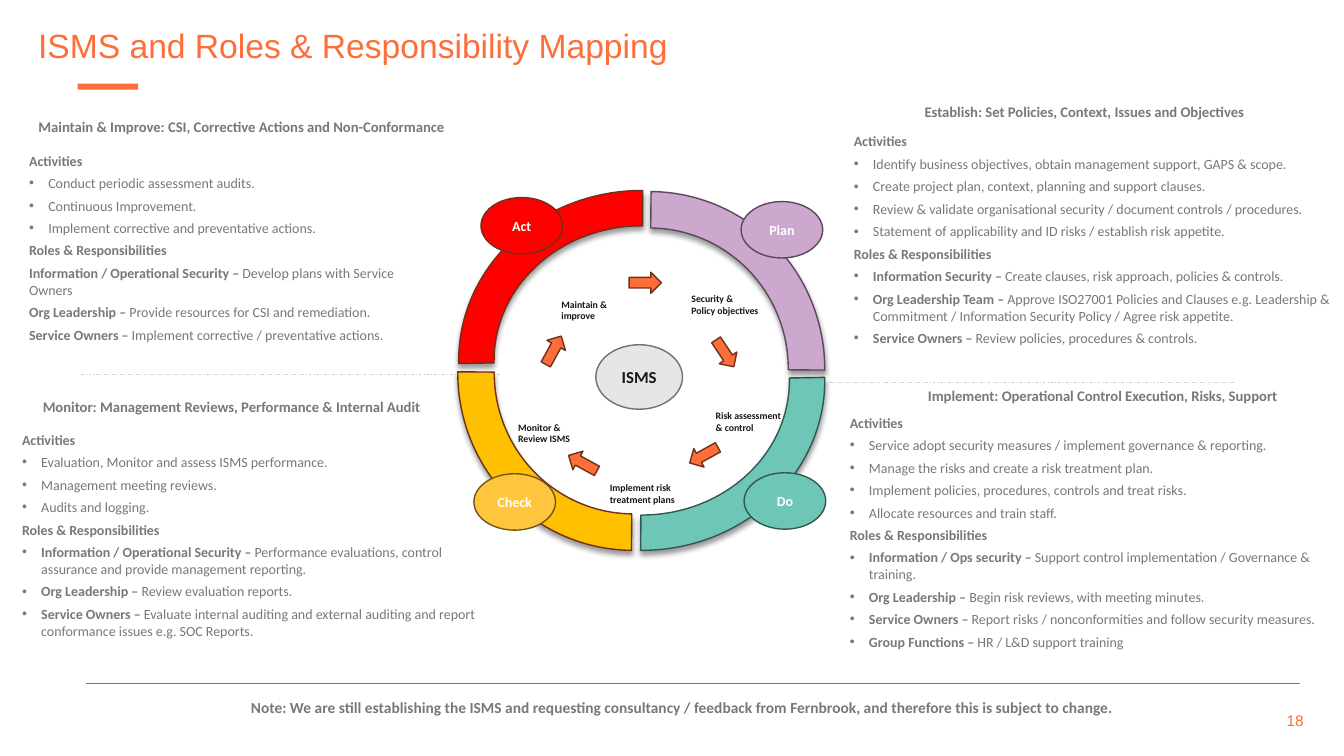
from lxml.etree import SubElement
from pptx import Presentation
from pptx.dml.color import RGBColor
from pptx.enum.dml import MSO_LINE
from pptx.enum.shapes import MSO_CONNECTOR, MSO_SHAPE
from pptx.enum.text import MSO_ANCHOR, PP_ALIGN
from pptx.oxml.ns import qn
from pptx.util import Inches, Pt

ORANGE, GREY, DARK, WHITE = "FD6E39", "787878", "181717", "FFFFFF"
BROWN, PLUM, PINE = "6F3019", "59495A", "305750"

HEAD = {"name": "Calibri", "size": Pt(10.5), "bold": True}
LEAD = {"name": "Calibri", "size": Pt(10), "bold": True}
BODY = {"name": "Calibri", "size": Pt(10), "bold": False}
LABEL = {"name": "Calibri", "size": Pt(7), "bold": True}
HUB = {"name": "Calibri", "size": Pt(12), "bold": True}
NOTE = {"name": "Calibri", "size": Pt(11), "bold": True}
TITLE = {"name": "Arial", "size": Pt(24)}
PAGE = {"name": "Arial", "size": Pt(11)}

PANELS = [
    ((0.19, 1.46, 4.15, 2.3), (4.51, 0.34), False,
     "Maintain & Improve: CSI, Corrective Actions and Non-Conformance",
     ["Conduct periodic assessment audits.",
      "Continuous Improvement.",
      "Implement corrective and preventative actions."],
     ["Information / Operational Security – Develop plans with Service Owners",
      "Org Leadership – Provide resources for CSI and remediation.",
      "Service Owners – Implement corrective / preventative actions."]),
    ((8.37, 1.27, 4.96, 2.5), (12.44, 0.3), True,
     "Establish: Set Policies, Context, Issues and Objectives",
     ["Identify business objectives, obtain management support, GAPS & scope.",
      "Create project plan, context, planning and support clauses.",
      "Review & validate organisational security / document controls / procedures.",
      "Statement of applicability and ID risks / establish risk appetite."],
     ["Information Security – Create clauses, risk approach, policies & controls.",
      "Org Leadership Team – Approve ISO27001 Policies and Clauses e.g. Leadership & "
      "Commitment / Information Security Policy / Agree risk appetite.",
      "Service Owners – Review policies, procedures & controls."]),
    ((0.12, 4.23, 4.72, 2.4), (4.27, 0.33), True,
     "Monitor: Management Reviews, Performance & Internal Audit",
     ["Evaluation, Monitor and assess ISMS performance.",
      "Management meeting reviews.",
      "Audits and logging."],
     ["Information / Operational Security – Performance evaluations, control "
      "assurance and provide management reporting.",
      "Org Leadership – Review evaluation reports.",
      "Service Owners – Evaluate internal auditing and external auditing and report "
      "conformance issues e.g. SOC Reports."]),
    ((8.33, 4.06, 4.88, 2.46), (12.77, 0.27), True,
     "Implement: Operational Control Execution, Risks, Support",
     ["Service adopt security measures / implement governance & reporting.",
      "Manage the risks and create a risk treatment plan.",
      "Implement policies, procedures, controls and treat risks.",
      "Allocate resources and train staff."],
     ["Information / Ops security – Support control implementation / Governance & training.",
      "Org Leadership – Begin risk reviews, with meeting minutes.",
      "Service Owners – Report risks / nonconformities and follow security measures.",
      "Group Functions – HR / L&D support training"]),
]

ARCS = [
    ((0.05, 0.29, 3.63, 3.37), 180, 107.41, "6EC7B6", PINE),
    ((0.02, 0.16, 3.52, 3.48), 270, 108.34, "FFC000", BROWN),
    ((0.18, 0.12, 3.52, 3.48), 90, 108.34, "CCA7CE", PLUM),
    ((0.05, 0.09, 3.63, 3.37), 0, 107.41, "FF0000", BROWN),
]
BADGES = [
    ("Plan", 2.85, 0.2, "CCA7CE", PLUM),
    ("Do", 2.88, 2.89, "6EC7B6", PINE),
    ("Check", 0.2, 2.9, "FFC53D", "70561B"),
    ("Act", 0.27, 0.16, "FF0000", BROWN),
]
LABELS = [
    (["Security &", "Policy objectives"], 2.26, 1.06, 0.94),
    (["Risk assessment & control"], 2.5, 2.22, 0.88),
    (["Implement risk treatment plans"], 1.45, 2.93, 0.88),
    (["Monitor & Review ISMS"], 0.54, 2.33, 0.79),
    (["Maintain & improve"], 0.97, 1.11, 0.74),
]
ARROWS = [(1.74, 0.9, 0), (2.53, 1.6, 56.4), (2.32, 2.61, 150.9),
          (1.12, 2.69, 208.7), (0.83, 1.57, 298.7)]


def color(code):
    return RGBColor.from_string(code)


def write(para, text, form, ink):
    run = para.add_run()
    run.text = text
    for key, value in form.items():
        setattr(run.font, key, value)
    run.font.color.rgb = color(ink)


def frame(slide, box):
    text = slide.shapes.add_textbox(*map(Inches, box)).text_frame
    text.word_wrap = True
    return text


def label(slide, box, lines, form, ink, align=PP_ALIGN.LEFT):
    text = frame(slide, box)
    for i, line in enumerate(lines):
        para = text.add_paragraph() if i else text.paragraphs[0]
        para.alignment = align
        write(para, line, form, ink)
    return text


def draw(slide, kind, box, fill, edge=None, turn=0):
    shape = slide.shapes.add_shape(kind, *map(Inches, box))
    shape.shadow.inherit = False
    shape.rotation = turn
    shape.fill.solid()
    shape.fill.fore_color.rgb = color(fill)
    if edge:
        shape.line.color.rgb = color(edge)
        shape.line.width = Pt(1)
    else:
        shape.line.fill.background()
    return shape


def rule(slide, x, y, w, ink, width, dash=None):
    line = slide.shapes.add_connector(
        MSO_CONNECTOR.STRAIGHT, Inches(x), Inches(y), Inches(x + w), Inches(y))
    SubElement(line._element.spPr, qn("a:effectLst"))
    line.line.color.rgb = color(ink)
    line.line.width = Pt(width)
    if dash:
        line.line.dash_style = dash


def bullet(para):
    props = para._p.get_or_add_pPr()
    props.set("marL", str(Inches(0.19)))
    props.set("indent", str(-Inches(0.19)))
    SubElement(props, qn("a:buFont"), typeface="Arial")
    SubElement(props, qn("a:buChar"), char="•")


def panel(slide, box, head, dots, title, tasks, roles):
    x, y, w, h = box
    right, rise = head
    label(slide, (right - 4.4, y - rise, 4.4, 0.29), [title], HEAD, GREY, PP_ALIGN.RIGHT)
    rows = [("Activities", "", False)]
    rows += [("", task, True) for task in tasks]
    rows.append(("Roles & Responsibilities", "", False))
    for role in roles:
        who, dash, what = role.partition(" – ")
        rows.append((who + dash, what, dots))
    text = frame(slide, box)
    for i, (lead, rest, dot) in enumerate(rows):
        para = text.add_paragraph() if i else text.paragraphs[0]
        if dot:
            bullet(para)
        para.space_before = Pt(2 if i else 0)
        para.space_after = Pt(2)
        if lead:
            write(para, lead, LEAD, GREY)
        if rest:
            write(para, rest, BODY, GREY)


def badge(slide, box, text, form, ink, fill, edge):
    shape = draw(slide, MSO_SHAPE.OVAL, box, fill, edge)
    body = shape.text_frame
    body.word_wrap = False
    body.vertical_anchor = MSO_ANCHOR.MIDDLE
    body.paragraphs[0].alignment = PP_ALIGN.CENTER
    write(body.paragraphs[0], text, form, ink)


def shade(shape):
    glow = SubElement(shape._element.spPr.find(qn("a:effectLst")), qn("a:outerShdw"),
                      blurRad=str(Pt(4)), dist=str(Pt(3)), dir="5400000", rotWithShape="0")
    tint = SubElement(glow, qn("a:srgbClr"), val="000000")
    SubElement(tint, qn("a:alpha"), val="40000")


def wheel(slide, x, y):
    for (dx, dy, w, h), turn, start, fill, edge in ARCS:
        arc = draw(slide, MSO_SHAPE.BLOCK_ARC, (x + dx, y + dy, w, h), fill, edge, turn)
        for i, value in enumerate((start, 162.22, 0.104)):
            arc.adjustments[i] = value
        shade(arc)
    for text, dx, dy, fill, edge in BADGES:
        badge(slide, (x + dx, y + dy, 0.81, 0.56), text, LEAD, WHITE, fill, edge)
    for lines, dx, dy, w in LABELS:
        label(slide, (x + dx, y + dy, w, 0.34), lines, LABEL, DARK)
    for dx, dy, turn in ARROWS:
        draw(slide, MSO_SHAPE.RIGHT_ARROW, (x + dx, y + dy, 0.32, 0.21), ORANGE, BROWN, turn)
    badge(slide, (x + 1.41, y + 1.62, 0.86, 0.64), "ISMS", HUB, DARK, "E7E6E6", "707070")


def header(slide, x, y):
    draw(slide, MSO_SHAPE.RECTANGLE, (x + 0.49, y + 0.59, 0.6, 0.06), ORANGE)
    text = label(slide, (x, y, 11.66, 0.46),
                 ["ISMS and Roles & Responsibility Mapping"], TITLE, ORANGE)
    text.paragraphs[0].line_spacing = 0.9


def footer(slide, x, y):
    rule(slide, x, y, 12.04, "797979", 1)
    label(slide, (x + 1.54, y + 0.1, 9.1, 0.29),
          ["Note: We are still establishing the ISMS and requesting consultancy / feedback "
           "from Fernbrook, and therefore this is subject to change."], NOTE, GREY)
    page = label(slide, (x + 11.34, y + 0.17, 0.84, 0.4), ["18"], PAGE, ORANGE, PP_ALIGN.RIGHT)
    page.vertical_anchor = MSO_ANCHOR.MIDDLE


def main():
    deck = Presentation()
    deck.slide_width, deck.slide_height = Inches(13.33), Inches(7.5)
    slide = deck.slides.add_slide(deck.slide_layouts[6])
    header(slide, 0.28, 0.24)
    footer(slide, 0.85, 6.78)
    for x, y in ((0.8, 3.71), (8.08, 3.79)):
        rule(slide, x, y, 4.17, "D0CECE", 0.5, MSO_LINE.DASH_DOT)
    for part in PANELS:
        panel(slide, *part)
    wheel(slide, 4.5, 1.8)
    deck.save("out.pptx")


if __name__ == "__main__":
    main()
